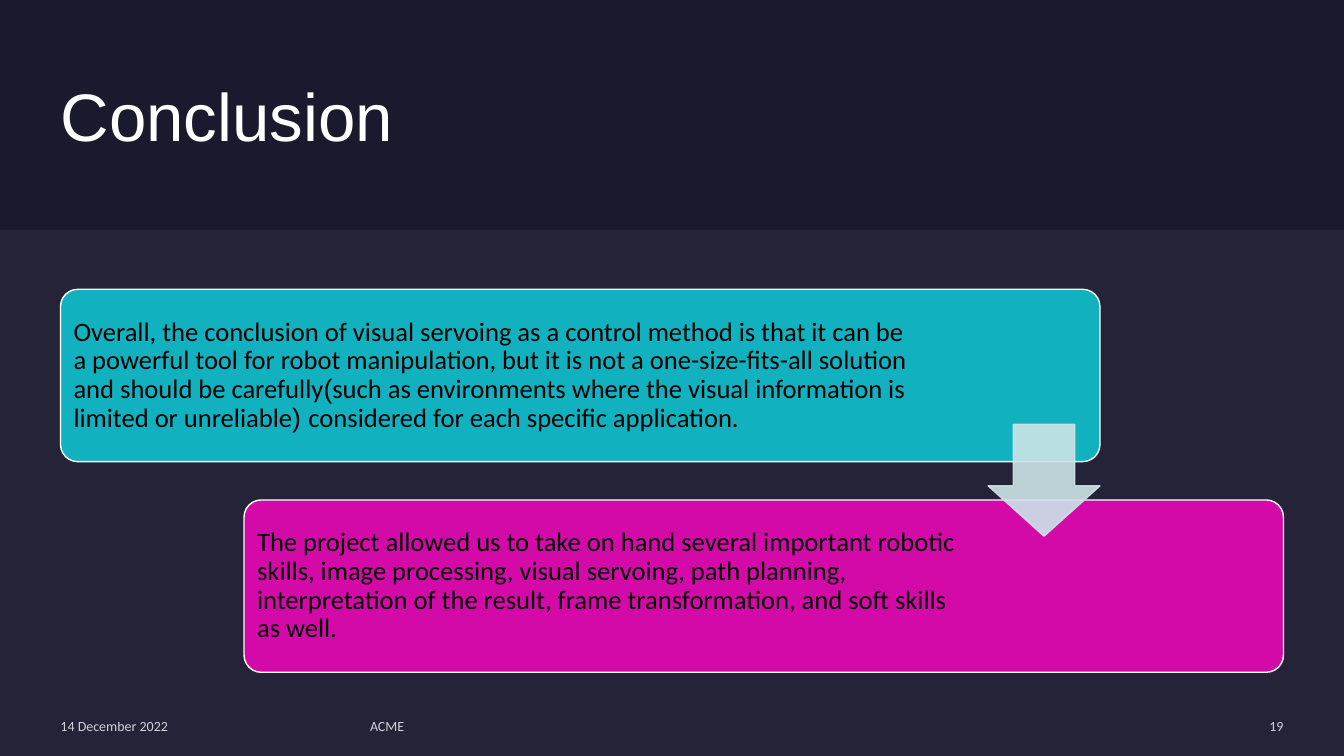
from dataclasses import dataclass

from lxml import etree
from pptx import Presentation
from pptx.dml.color import RGBColor
from pptx.dml.fill import FillFormat
from pptx.enum.shapes import MSO_SHAPE
from pptx.enum.text import MSO_ANCHOR, PP_ALIGN
from pptx.oxml.ns import qn
from pptx.shapes.autoshape import Shape
from pptx.slide import Slide
from pptx.util import Inches, Pt

RECTANGLE = MSO_SHAPE.RECTANGLE
ROUNDED = MSO_SHAPE.ROUNDED_RECTANGLE
DOWN_ARROW = MSO_SHAPE.DOWN_ARROW
MIDDLE = MSO_ANCHOR.MIDDLE
LEFT = PP_ALIGN.LEFT
RIGHT = PP_ALIGN.RIGHT

WHITE = "FFFFFF"
BLACK = "000000"
NAVY = "1B192E"
LAVENDER = "E4E3F0"
TEAL = "12B1BF"
MAGENTA = "D40AA8"
PALE_BLUE = "CCE4E8"

SLIDE_WIDTH, SLIDE_HEIGHT = 13.33, 7.5
MARGIN = 0.6
BAND_TOP = 2.28
CARD_WIDTH, CARD_HEIGHT = 10.31, 1.71
CARD_PADDING = 0.05


@dataclass
class Span:
    text: str
    font: str = "Calibri"


@dataclass
class Card:
    left: float
    top: float
    color: str
    text_width: float
    spans: list[Span]


@dataclass
class FooterItem:
    text: str
    left: float
    width: float
    align: PP_ALIGN = LEFT


CARDS = [
    Card(MARGIN, 2.87, TEAL, 8.54, [
        Span("Overall, the conclusion of visual servoing as a control method is that "
             "it can be a powerful tool for robot manipulation, but it is not a "
             "one-size-fits-all solution and should be carefully"),
        Span("(", "Arial"),
        Span("such as environments where the visual information is limited or unreliable"),
        Span(") ", "Arial"),
        Span("considered for each specific application."),
    ]),
    Card(2.42, 4.96, MAGENTA, 7.28, [
        Span("The project allowed us to take on hand several important robotic skills, "
             "image processing, visual servoing, path planning, interpretation of the "
             "result, frame transformation, and soft skills as well."),
    ]),
]

FOOTER = [
    FooterItem("14 December 2022", MARGIN, 2.88),
    FooterItem("ACME", 3.67, 6.98),
    FooterItem("19", 10.88, 1.85, RIGHT),
]


def paint(fill: FillFormat, color: str) -> None:
    fill.solid()
    fill.fore_color.rgb = RGBColor.from_string(color)


def set_opacity(shape: Shape, percent: int) -> None:
    for color in shape.element.iter(qn("a:srgbClr")):
        etree.SubElement(color, qn("a:alpha")).set("val", str(percent * 1000))


def add_panel(page: Slide, kind: MSO_SHAPE, left: float, top: float, width: float,
              height: float, color: str, line: str | None = None) -> Shape:
    panel = page.shapes.add_shape(
        kind, Inches(left), Inches(top), Inches(width), Inches(height))
    panel.shadow.inherit = False
    paint(panel.fill, color)
    if line:
        paint(panel.line.fill, line)
        panel.line.width = Pt(1)
    else:
        panel.line.fill.background()
    return panel


def add_text(page: Slide, spans: list[Span], left: float, top: float, width: float,
             height: float, size: float, color: str, inset: float = 0,
             align: PP_ALIGN = LEFT, spacing: float = 1.0) -> Shape:
    box = page.shapes.add_textbox(
        Inches(left), Inches(top), Inches(width), Inches(height))
    frame = box.text_frame
    frame.word_wrap = True
    frame.vertical_anchor = MIDDLE
    frame.margin_left = frame.margin_right = Inches(inset)
    frame.margin_top = frame.margin_bottom = Inches(inset)
    para = frame.paragraphs[0]
    para.alignment = align
    para.line_spacing = spacing
    para.font.size = Pt(size)
    para.font.name = spans[0].font
    paint(para.font.fill, color)
    for span in spans:
        run = para.add_run()
        run.text = span.text
        if span.font != spans[0].font:
            run.font.name = span.font
    return box


def add_card(page: Slide, card: Card) -> None:
    panel = add_panel(page, ROUNDED, card.left, card.top, CARD_WIDTH, CARD_HEIGHT,
                      card.color, WHITE)
    panel.adjustments[0] = 0.1
    add_text(page, card.spans, card.left + CARD_PADDING, card.top + CARD_PADDING,
             card.text_width, CARD_HEIGHT - 2 * CARD_PADDING, 19, BLACK,
             inset=0.08, spacing=0.9)


def add_arrow(page: Slide) -> None:
    arrow = add_panel(page, DOWN_ARROW, 9.8, 4.21, 1.11, 1.11, PALE_BLUE, PALE_BLUE)
    arrow.adjustments[0] = 0.55
    arrow.adjustments[1] = 0.45
    set_opacity(arrow, 90)


def add_footer_item(page: Slide, item: FooterItem) -> None:
    box = add_text(page, [Span(item.text)], item.left, 7.12, item.width, 0.17, 10,
                   WHITE, align=item.align)
    set_opacity(box, 80)


def main() -> None:
    deck = Presentation()
    deck.slide_width = Inches(SLIDE_WIDTH)
    deck.slide_height = Inches(SLIDE_HEIGHT)
    page = deck.slides.add_slide(deck.slide_layouts[6])
    paint(page.background.fill, NAVY)

    add_text(page, [Span("Conclusion", "Arial")], MARGIN, 0.6, 7.99, 1.08, 48, WHITE)
    band = add_panel(page, RECTANGLE, 0, BAND_TOP, SLIDE_WIDTH,
                     SLIDE_HEIGHT - BAND_TOP, LAVENDER)
    set_opacity(band, 5)
    for item in FOOTER:
        add_footer_item(page, item)
    for card in CARDS:
        add_card(page, card)
    add_arrow(page)

    deck.save("out.pptx")


if __name__ == "__main__":
    main()
